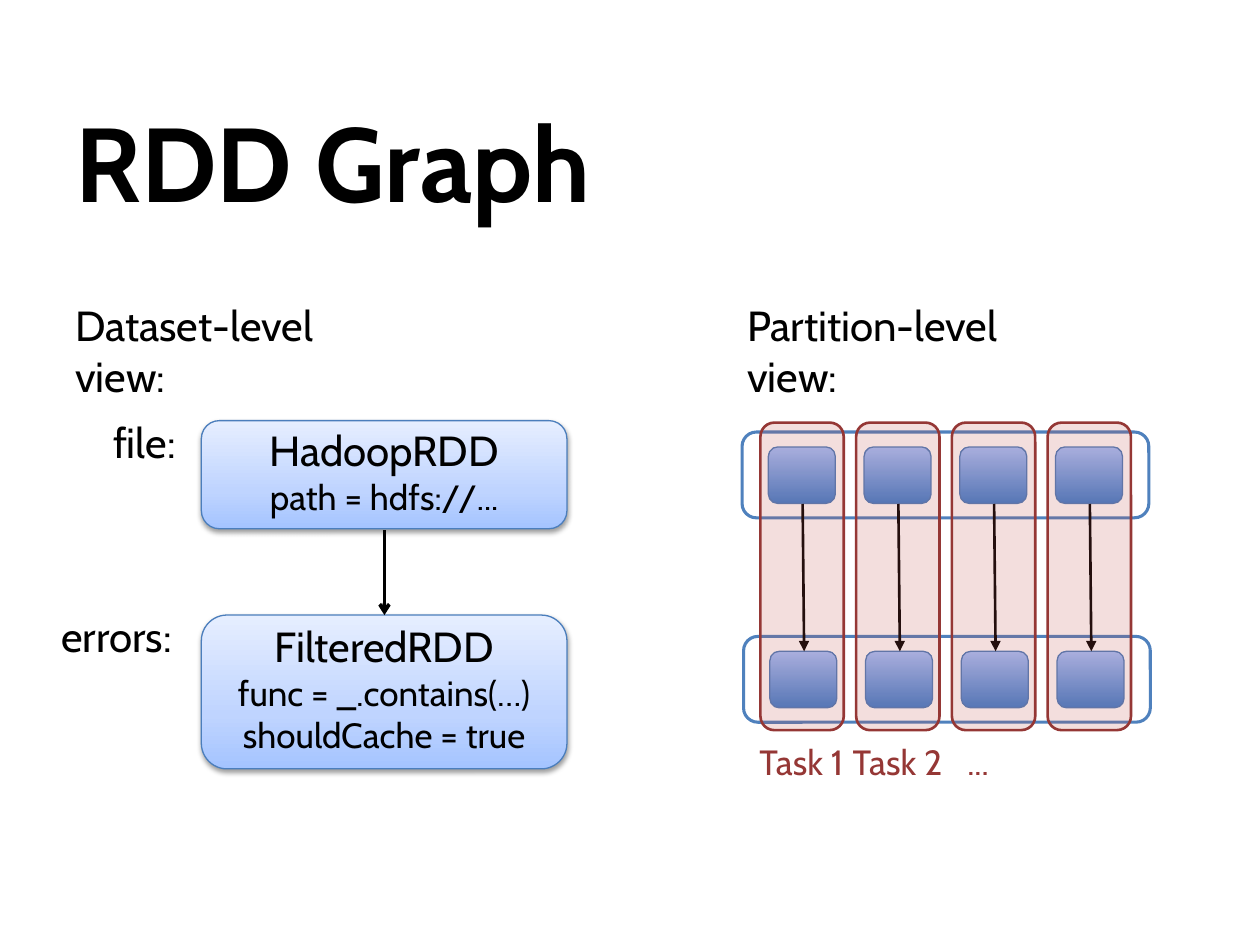
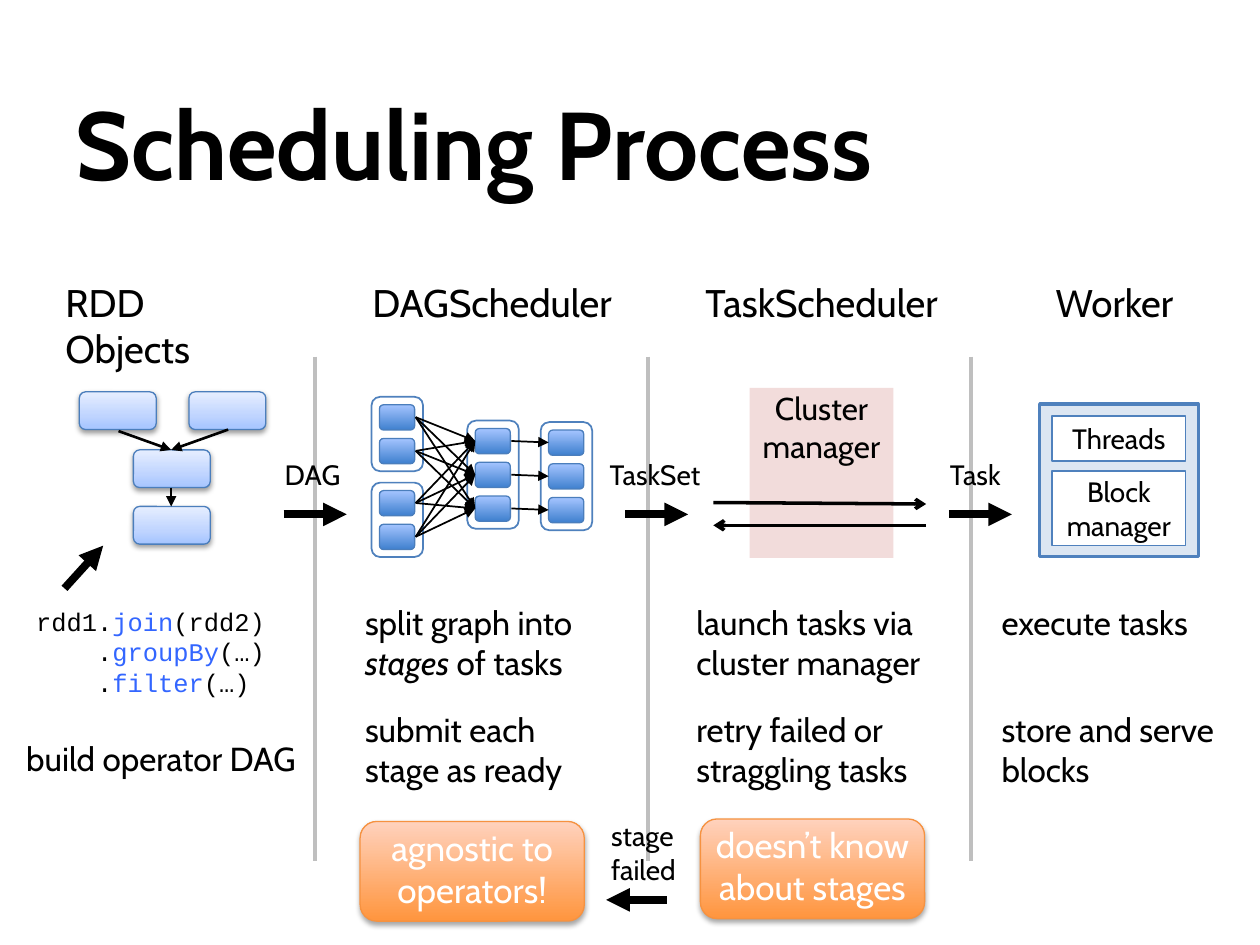
"""Build two slides on RDD graphs and the scheduling process."""
from itertools import product

from lxml.etree import SubElement
from pptx import Presentation
from pptx.dml.color import RGBColor
from pptx.enum.shapes import MSO_CONNECTOR as Link, MSO_SHAPE as Preset
from pptx.enum.text import MSO_ANCHOR as Anchor, PP_ALIGN as Align
from pptx.oxml.ns import qn
from pptx.util import Cm, Pt

COLORS = {
    "black": "000000", "white": "FFFFFF", "gray": "BFBFBF",
    "outline": "4F81BD", "edge": "4B7EBC", "pale_blue": "DCE6F2",
    "red": "C0504D", "dark_red": "953735", "pink": "F2DCDB",
    "orange_edge": "F69240", "code": "3366FF",
}
GRADIENTS = {
    "rdd": {0: "A4C4FF", 35: "BFD4FF", 100: "E6EEFF"},
    "task": {0: "3F80CE", 100: "A4C4FF"},
    "note": {0: "FF953E", 100: "FFD2BD"},
}


class Deck:
    """Hold the style and the current slide, and draw each kind of element."""

    font = "Cabin"

    def __init__(self):
        self.deck = Presentation()
        self.deck.slide_width, self.deck.slide_height = Cm(25.4), Cm(19.05)
        self.shapes = None

    def color(self, name):
        return RGBColor.from_string(COLORS[name])

    def add_slide(self, title, top, size):
        self.shapes = self.deck.slides.add_slide(self.deck.slide_layouts[6]).shapes
        frame = self.label(title, 1.27, top, 22.86, 3.18, size, wrap=True)
        frame.vertical_anchor = Anchor.MIDDLE
        frame.paragraphs[0].font.bold = True

    def set_text(self, frame, text, size, color="black", align=Align.LEFT, font=None):
        frame.text = text
        for paragraph in frame.paragraphs:
            paragraph.alignment = align
            paragraph.font.name = font or self.font
            paragraph.font.size = Pt(size)
            paragraph.font.color.rgb = self.color(color)

    def label(self, text, left, top, width, height, size, wrap=False, **style):
        frame = self.shapes.add_textbox(Cm(left), Cm(top), Cm(width), Cm(height)).text_frame
        frame.word_wrap = wrap
        self.set_text(frame, text, size, **style)
        return frame

    def add_run(self, paragraph, text, color=None, italic=None):
        run = paragraph.add_run()
        run.text = text
        run.font.italic = italic
        if color:
            run.font.color.rgb = self.color(color)

    def box(self, left, top, width, height, fill, line=None, weight=0.75,
            preset=Preset.ROUNDED_RECTANGLE, alpha=None):
        shape = self.shapes.add_shape(preset, Cm(left), Cm(top), Cm(width), Cm(height))
        shape.shadow.inherit = False
        if fill in GRADIENTS:
            self.shade(shape, GRADIENTS[fill])
        else:
            shape.fill.solid()
            shape.fill.fore_color.rgb = self.color(fill)
        if alpha:
            tint = shape._element.spPr.find(qn("a:solidFill"))[0]
            SubElement(tint, qn("a:alpha"), val=str(alpha * 1000))
        if line:
            shape.line.color.rgb = self.color(line)
            shape.line.width = Pt(weight)
        else:
            shape.line.fill.background()
        return shape

    def shade(self, shape, stops):
        shape.fill.gradient()
        shape.fill.gradient_angle = 90
        stop_list = shape._element.spPr.find(qn("a:gradFill")).find(qn("a:gsLst"))
        for old_stop in list(stop_list):
            stop_list.remove(old_stop)
        for position, value in stops.items():
            stop = SubElement(stop_list, qn("a:gs"), pos=str(position * 1000))
            SubElement(stop, qn("a:srgbClr"), val=value)

    def raised_box(self, left, top, width, height, fill="rdd", line="edge", alpha=38, drop=1.6):
        shape = self.box(left, top, width, height, fill, line)
        effects = shape._element.spPr.find(qn("a:effectLst"))
        shadow = SubElement(effects, qn("a:outerShdw"), blurRad=str(Pt(3.1)),
                            dist=str(Pt(drop)), dir="5400000", rotWithShape="0")
        black = SubElement(shadow, qn("a:srgbClr"), val=COLORS["black"])
        SubElement(black, qn("a:alpha"), val=str(alpha * 1000))
        return shape

    def fill_text(self, shape, text, size, color="black", anchor=Anchor.BOTTOM, side=0.25):
        frame = shape.text_frame
        frame.word_wrap = True
        frame.vertical_anchor = anchor
        frame.margin_left = frame.margin_right = Cm(side)
        self.set_text(frame, text, size, color, Align.CENTER)
        return frame

    def rdd(self, text, top, height):
        frame = self.fill_text(self.raised_box(4.06, top, 7.37, height), text, 24)
        for detail in frame.paragraphs[1:]:
            detail.font.size = Pt(20)

    def note(self, text, left, top, side):
        shape = self.raised_box(left, top, 4.52, 2.01, "note", "orange_edge", 35, 1.8)
        self.fill_text(shape, text, 20, "white", side=side)

    def stage(self, left, top, count):
        """Draw a stage and return the middle heights of its tasks."""
        self.box(left, top, 1.04, 0.14 + 0.68 * count, "white", "outline", 1)
        for row in range(count):
            self.box(left + 0.16, top + 0.16 + 0.68 * row, 0.71, 0.51, "task", "edge")
        return [top + 0.41 + 0.68 * row for row in range(count)]

    def line(self, x1, y1, x2, y2, weight, color="black", head="triangle"):
        link = self.shapes.add_connector(Link.STRAIGHT, Cm(x1), Cm(y1), Cm(x2), Cm(y2))
        link.line.color.rgb = self.color(color)
        link.line.width = Pt(weight)
        properties = link._element.spPr
        if head:
            SubElement(properties.find(qn("a:ln")), qn("a:tailEnd"), type=head)
        SubElement(properties, qn("a:effectLst"))

    def save(self):
        self.deck.save("out.pptx")


def rdd_graph(deck):
    deck.add_slide("RDD Graph", 1.65, 60)
    deck.label("Dataset-level view:", 1.27, 5.92, 7.21, 1.27, 24, wrap=True)
    deck.label("Partition-level view:", 14.81, 5.92, 7.54, 1.27, 24, wrap=True)

    deck.rdd("HadoopRDD\npath = hdfs://...", 8.48, 2.18)
    deck.rdd("FilteredRDD\nfunc = _.contains(…)\nshouldCache = true", 12.4, 3.1)
    deck.line(7.75, 10.69, 7.75, 12.4, 2, head="arrow")
    deck.label("file:", 2.03, 8.28, 1.83, 1.27, 24)
    deck.label("errors:", 0.99, 12.19, 2.87, 1.27, 24)

    pitch = 1.93
    for left, top in ((14.96, 8.71), (14.99, 12.83)):
        deck.box(left, top, 8.2, 1.73, "white", "outline", 1.75)
        for column in range(4):
            deck.box(left + 0.53 + pitch * column, top + 0.3, 1.35, 1.14, "task", "edge")
    for column in range(4):
        shift = pitch * column
        deck.line(16.18 + shift, 10.16, 16.21 + shift, 13.13, 1.5)
    for column in range(4):
        deck.box(15.33 + pitch * column, 8.52, 1.68, 6.2, "red", "dark_red", 1.5, alpha=19)
    for task, left, width in (("Task 1", 15.06, 2.31), ("Task 2", 16.94, 2.34),
                              ("...", 19.25, 1.07)):
        deck.label(task, left, 14.81, width, 1.12, 20, color="dark_red")


def rdd_objects(deck):
    for left, top in ((2.69, 9.07), (3.81, 7.9), (1.6, 7.9), (2.69, 10.21)):
        deck.raised_box(left, top, 1.55, 0.76)
    for x, y, target in ((2.39, 8.69, 9.07), (4.6, 8.66, 9.07), (3.45, 9.83, 10.21)):
        deck.line(x, y, 3.45, target, 1.5)

    calls = (("rdd1.", "join", "(rdd2)"), (".", "groupBy", "(…)"), (".", "filter", "(…)"))
    code = deck.label("\n\n", 0.48, 12.09, 5.33, 2.18, 14.5, font="Courier New")
    for paragraph, (before, method, after) in zip(code.paragraphs, calls):
        deck.add_run(paragraph, before)
        deck.add_run(paragraph, method, "code")
        deck.add_run(paragraph, after)
    for paragraph in code.paragraphs[1:]:
        paragraph._p.get_or_add_pPr().set("marL", str(Cm(1.23)))
    deck.line(1.3, 11.86, 2.08, 11, 4.5)
    deck.label("build operator DAG", 0.28, 14.76, 6.35, 1.07, 19, wrap=True)


def dag_scheduler(deck):
    sources = deck.stage(7.49, 8, 2) + deck.stage(7.49, 9.73, 2)
    middle = deck.stage(9.42, 8.48, 3)
    last = deck.stage(10.9, 8.51, 3)
    for start, end in product(sources, middle):
        deck.line(8.38, start, 9.58, end, 1)
    for start, end in zip(middle, last):
        deck.line(10.31, start, 11.06, end, 1)

    split = deck.label("", 7.11, 12.01, 5.31, 1.88, 19, wrap=True).paragraphs[0]
    deck.add_run(split, "split graph into ")
    deck.add_run(split, "stages", italic=True)
    deck.add_run(split, " of tasks")
    deck.label("submit each stage as ready", 7.11, 14.17, 4.9, 1.88, 19, wrap=True)
    deck.note("agnostic to operators!", 7.26, 16.56, 0.25)


def task_scheduler(deck):
    deck.box(15.11, 7.82, 2.9, 3.43, "pink", preset=Preset.RECTANGLE)
    deck.line(14.38, 10.13, 18.67, 10.16, 2, head="arrow")
    deck.line(18.67, 10.59, 14.38, 10.59, 2, head="arrow")
    deck.label("Cluster\nmanager", 15.11, 7.72, 2.9, 1.8, 18, align=Align.CENTER)
    deck.label("launch tasks via cluster manager", 13.79, 12.01, 5.46, 1.88, 19, wrap=True)
    deck.label("retry failed or straggling tasks", 13.79, 14.17, 5.46, 1.88, 19, wrap=True)
    deck.note("doesn’t know about stages", 14.12, 16.51, 0)
    deck.line(13.44, 18.14, 12.22, 18.14, 4.5)
    deck.label("stage\nfailed", 12.07, 16.38, 1.88, 1.63, 16)


def worker(deck):
    deck.box(20.96, 8.15, 3.2, 3.07, "pale_blue", "outline", 2, Preset.RECTANGLE)
    for part, top, height in (("Threads", 8.38, 0.91), ("Block manager", 9.5, 1.5)):
        shape = deck.box(21.21, top, 2.69, height, "white", "outline", 1, Preset.RECTANGLE)
        deck.fill_text(shape, part, 16, anchor=Anchor.MIDDLE, side=0)
    deck.label("execute tasks", 19.94, 12.01, 5.46, 1.07, 19, wrap=True)
    deck.label("store and serve blocks", 19.94, 14.17, 5.46, 1.88, 19, wrap=True)


def scheduling_process(deck):
    deck.add_slide("Scheduling Process", 1.27, 55)
    deck.label("RDD Objects", 1.07, 5.5, 4.65, 1.19, 22, wrap=True)
    for heading, left, width in (("DAGScheduler", 7.26, 5.46), ("TaskScheduler", 13.97, 5.38),
                                 ("Worker", 21.03, 2.9)):
        deck.label(heading, left, 5.5, width, 1.19, 22)
    for divider in (6.35, 13.06, 19.58):
        deck.line(divider, 7.19, divider, 17.35, 2, "gray", head=None)
    for draw_column in (rdd_objects, dag_scheduler, task_scheduler, worker):
        draw_column(deck)
    for handoff, left, width, arrow in (("DAG", 5.49, 1.63, 5.72), ("TaskSet", 12.04, 2.41, 12.6),
                                        ("Task", 18.9, 1.57, 19.13)):
        deck.label(handoff, left, 9.09, width, 0.94, 16)
        deck.line(arrow, 10.37, arrow + 1.27, 10.37, 4.5)


def main():
    deck = Deck()
    rdd_graph(deck)
    scheduling_process(deck)
    deck.save()


if __name__ == "__main__":
    main()
